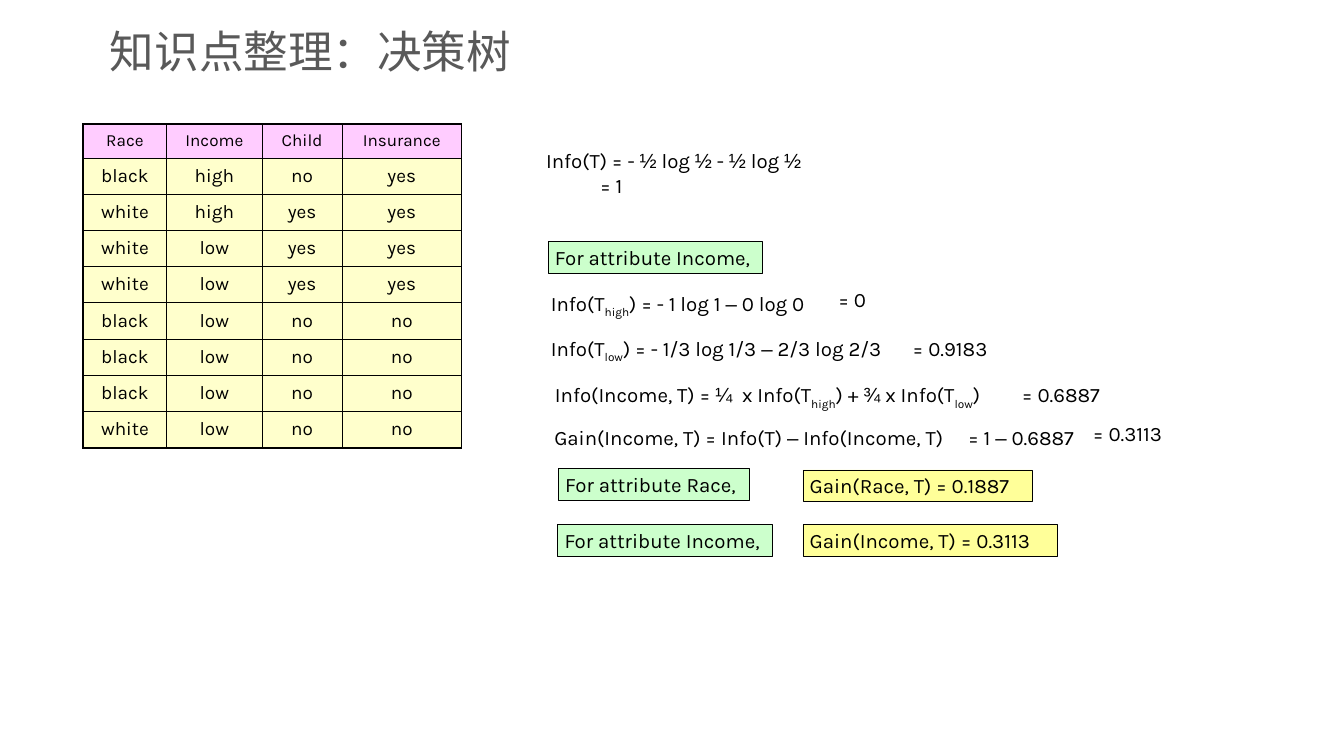
from itertools import groupby

from lxml.etree import SubElement
from pptx import Presentation
from pptx.dml.color import RGBColor
from pptx.enum.shapes import MSO_SHAPE
from pptx.enum.text import MSO_ANCHOR, MSO_AUTO_SIZE, PP_ALIGN
from pptx.oxml.ns import qn
from pptx.util import Cm, Inches, Pt

BLACK = RGBColor(0x00, 0x00, 0x00)
GREY = RGBColor(0x59, 0x59, 0x59)
PINK = RGBColor(0xFF, 0xCC, 0xFF)
CREAM = RGBColor(0xFF, 0xFF, 0xCC)
GREEN = RGBColor(0xCC, 0xFF, 0xCC)
YELLOW = RGBColor(0xFF, 0xFF, 0x99)

SYMBOLS = "½¼¾–"  # set in the symbol font
LINE_HEIGHT = 0.46


class SlideBuilder:
    """Style of the deck and the slide being filled."""

    font = "Karla"
    symbol_font = "Arial"
    title_font = "Calibri"
    formula_size = 21.6

    def __init__(self, deck):
        self.slide = deck.slides.add_slide(deck.slide_layouts[5])

    def style(self, span, size, font=None, color=BLACK):
        span.font.size = Pt(size)
        span.font.name = font or self.font
        span.font.color.rgb = color

    def set_margins(self, target, horizontal, vertical):
        target.margin_left = target.margin_right = Inches(horizontal)
        target.margin_top = target.margin_bottom = Inches(vertical)

    def title(self, text, left, top, width, height):
        box = self.slide.shapes.title
        box.left, box.top = Inches(left), Inches(top)
        box.width, box.height = Inches(width), Inches(height)
        frame = box.text_frame
        frame.text = text
        frame.auto_size = MSO_AUTO_SIZE.NONE
        frame.vertical_anchor = MSO_ANCHOR.MIDDLE
        self.set_margins(frame, 0.2, 0.1)
        para = frame.paragraphs[0]
        para.alignment = PP_ALIGN.LEFT
        self.style(para.runs[0], 47, self.title_font, GREY)

    def write_formula(self, para, text):
        """Write text in which underscores enclose subscripts."""
        para.alignment = PP_ALIGN.LEFT
        for index, part in enumerate(text.split("_")):
            for is_symbol, letters in groupby(part, lambda letter: letter in SYMBOLS):
                span = para.add_run()
                span.text = "".join(letters)
                self.style(span, self.formula_size, self.symbol_font if is_symbol else None)
                if index % 2:
                    span._r.get_or_add_rPr().set("baseline", "-25000")

    def fit_text(self, box, text):
        frame = box.text_frame
        frame.word_wrap = False
        frame.auto_size = MSO_AUTO_SIZE.SHAPE_TO_FIT_TEXT
        frame.vertical_anchor = MSO_ANCHOR.TOP
        self.write_formula(frame.paragraphs[0], text)
        return frame

    def formula(self, text, left, top, width, height=LINE_HEIGHT):
        box = self.slide.shapes.add_textbox(
            Inches(left), Inches(top), Inches(width), Inches(height))
        return self.fit_text(box, text)

    def label(self, text, left, top, width, color):
        box = self.slide.shapes.add_shape(
            MSO_SHAPE.RECTANGLE, Inches(left), Inches(top), Inches(width), Inches(LINE_HEIGHT))
        box.shadow.inherit = False
        box.fill.solid()
        box.fill.fore_color.rgb = color
        box.line.color.rgb = BLACK
        box.line.width = Pt(0.75)
        self.fit_text(box, text)

    def cell_borders(self, cell, outer_sides):
        properties = cell._tc.get_or_add_tcPr()
        for side in "LRTB":
            width = Pt(2.25 if side in outer_sides else 1)
            line = SubElement(properties, qn(f"a:ln{side}"), w=str(width))
            SubElement(SubElement(line, qn("a:solidFill")), qn("a:srgbClr"), val=str(BLACK))

    def table(self, records, left, top, column_widths, row_heights):
        last_row, last_column = len(row_heights) - 1, len(column_widths) - 1
        table = self.slide.shapes.add_table(
            len(row_heights), len(column_widths), Inches(left), Inches(top),
            Inches(sum(column_widths)), Inches(sum(row_heights))).table
        table.first_row = table.horz_banding = False
        for column, width in zip(table.columns, column_widths):
            column.width = Inches(width)
        for r, (row, height) in enumerate(zip(table.rows, row_heights)):
            row.height = Inches(height)
            for c, cell in enumerate(row.cells):
                edges = {"L": c == 0, "R": c == last_column, "T": r == 0, "B": r == last_row}
                self.cell_borders(cell, [side for side, outer in edges.items() if outer])
                cell.fill.solid()
                cell.fill.fore_color.rgb = CREAM if r else PINK
                self.set_margins(cell, 0.2, 0.1)
                para = cell.text_frame.paragraphs[0]
                para.text = records[r][c]
                para.alignment = PP_ALIGN.CENTER
                self.style(para.runs[0], 20 if r else 18)


def main():
    deck = Presentation()
    deck.slide_width = Cm(50)
    deck.slide_height = Cm(28)
    builder = SlideBuilder(deck)
    builder.title("知识点整理：决策树", 1.41, 0.25, 9.84, 0.99)

    # Training data
    records = [line.split() for line in (
        "Race Income Child Insurance",
        "black high no yes",
        "white high yes yes",
        "white low yes yes",
        "white low yes yes",
        "black low no no",
        "black low no no",
        "black low no no",
        "white low no no",
    )]
    builder.table(records, 1.22, 1.82, [1.22, 1.4, 1.17, 1.75], [0.49] + [0.53] * 8)

    # Information of the whole set
    total = builder.formula("Info(T) = - ½ log ½ - ½ log ½", 7.9, 2.12, 4.9, 0.83)
    total.word_wrap = True
    result = total.add_paragraph()
    builder.write_formula(result, "= 1")
    result._p.get_or_add_pPr().set("marL", str(Inches(0.79)))

    # Formulas and their results
    for text, left, top, width in (
        ("Info(T_high_) = - 1 log 1 – 0 log 0", 7.97, 4.21, 4.53),
        ("= 0", 12.18, 4.16, 0.68),
        ("Info(T_low_) = - 1/3 log 1/3 – 2/3 log 2/3", 7.97, 4.87, 5.48),
        ("= 0.9183", 13.27, 4.87, 1.43),
        ("Info(Income, T) = ¼  x Info(T_high_) + ¾ x Info(T_low_)", 8.03, 5.55, 7.11),
        ("= 0.6887", 14.87, 5.55, 1.43),
        ("Gain(Income, T) = Info(T) – Info(Income, T)", 8.02, 6.17, 6.24),
        ("= 1 – 0.6887", 14.08, 6.17, 2.05),
        ("= 0.3113", 15.91, 6.11, 1.43),
    ):
        builder.formula(text, left, top, width)

    # Attribute labels and gains
    for text, left, top, width, color in (
        ("For attribute Income,", 8.03, 3.54, 3.14, GREEN),
        ("For attribute Race,", 8.18, 6.86, 2.79, GREEN),
        ("Gain(Race, T) = 0.1887", 11.76, 6.88, 3.36, YELLOW),
        ("For attribute Income,", 8.17, 7.68, 3.14, GREEN),
        ("Gain(Income, T) = 0.3113", 11.76, 7.68, 3.72, YELLOW),
    ):
        builder.label(text, left, top, width, color)

    deck.save("out.pptx")


if __name__ == "__main__":
    main()
